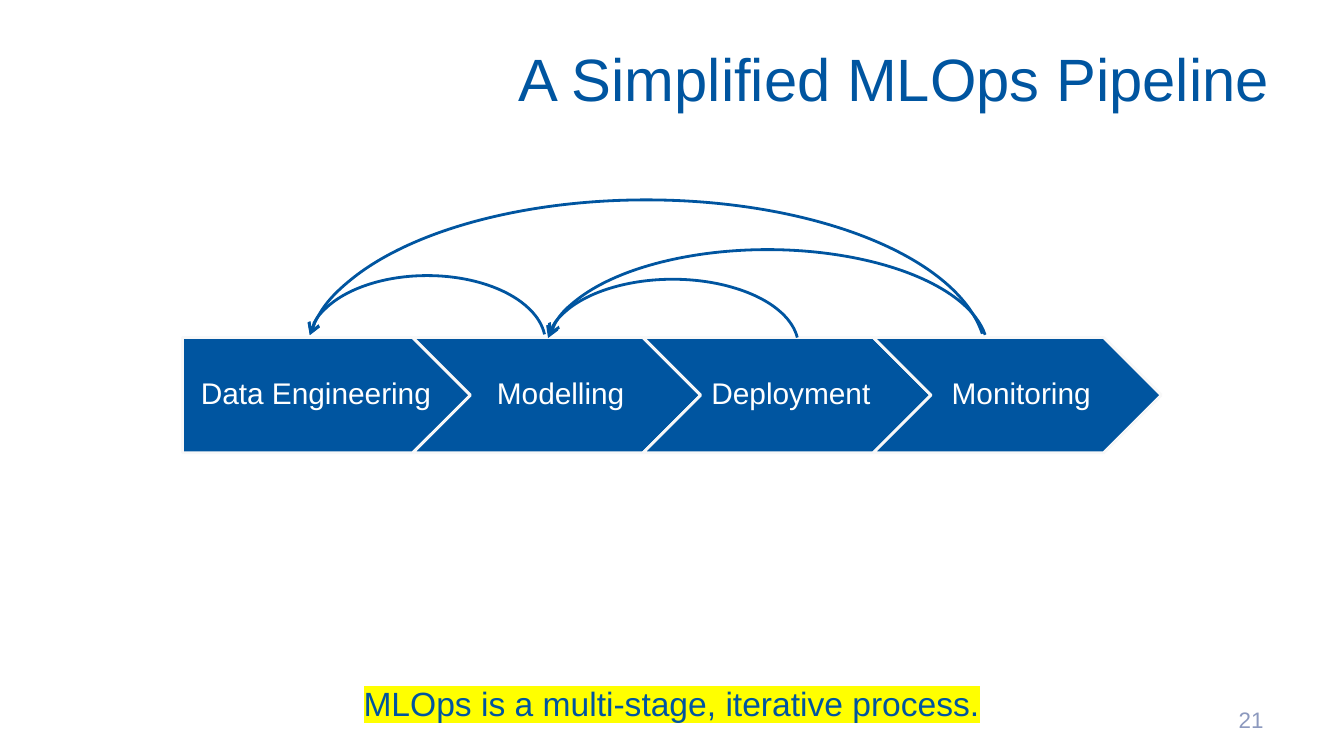
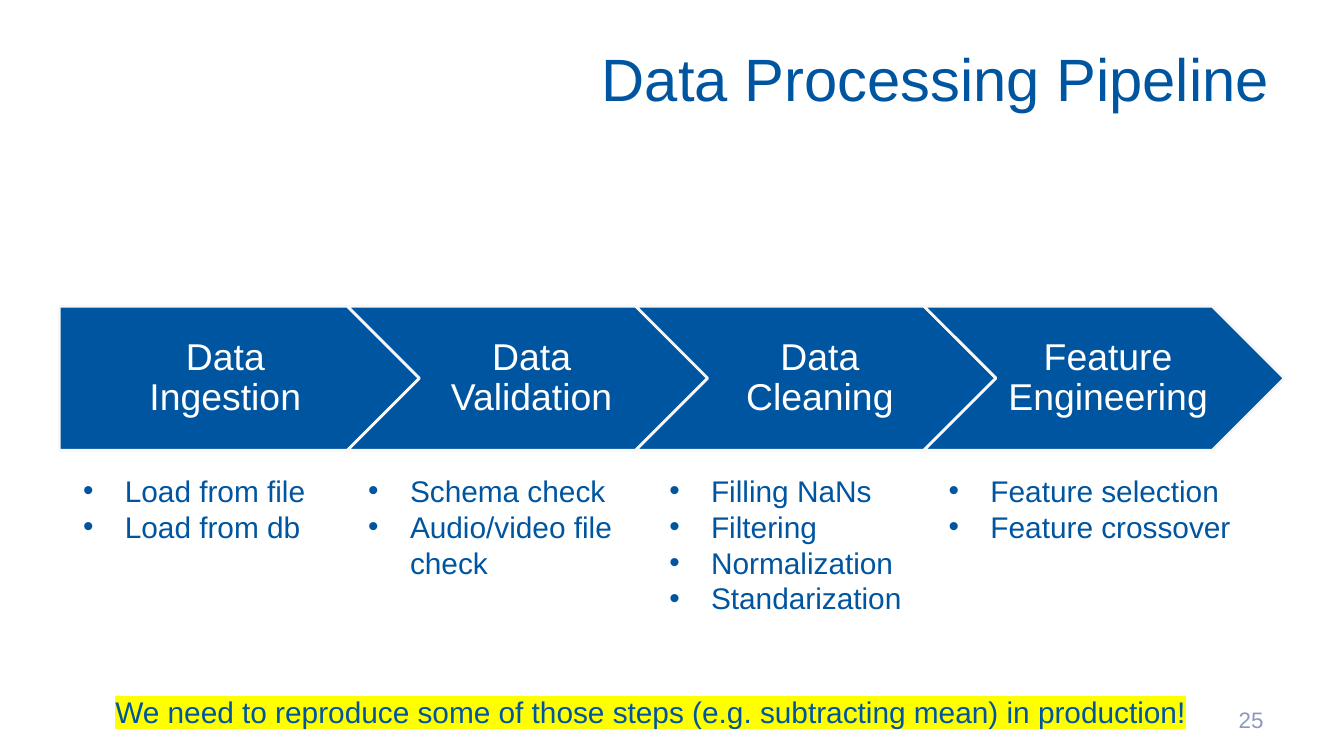
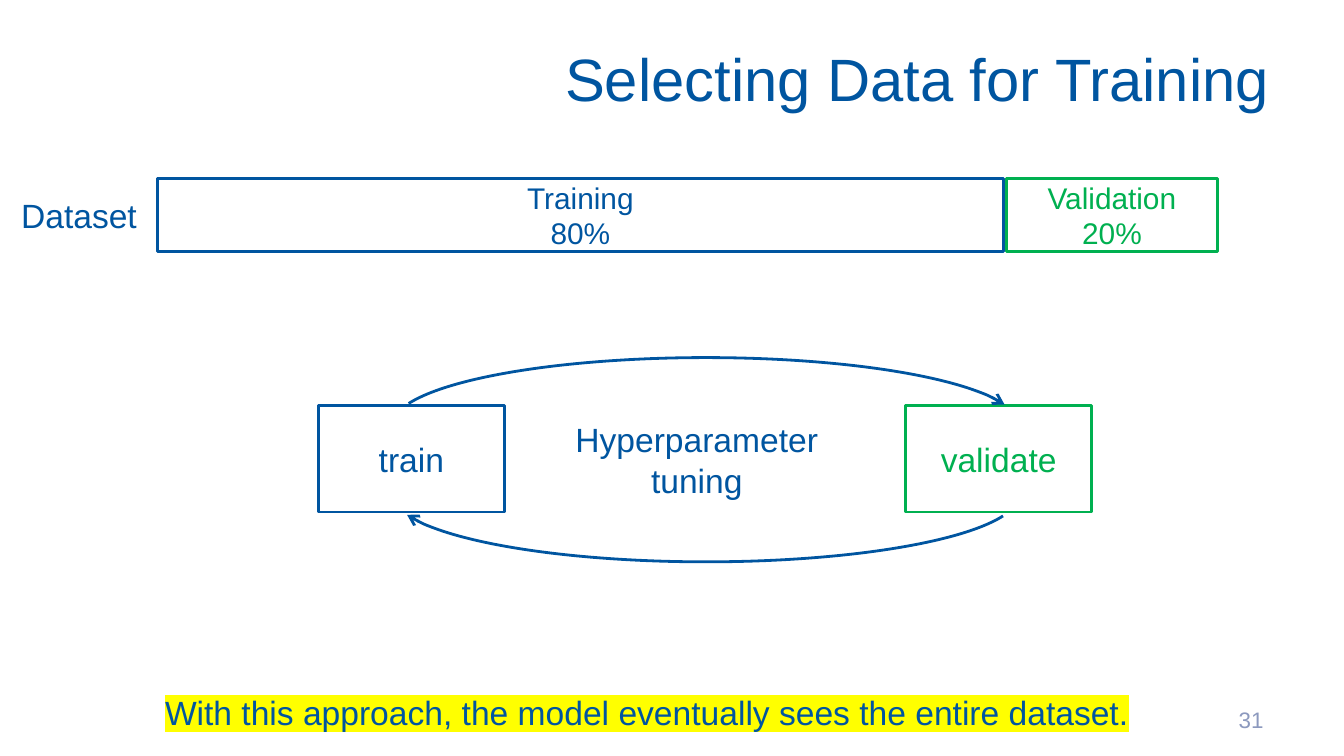
from lxml.etree import SubElement
from pptx import Presentation
from pptx.dml.color import RGBColor
from pptx.enum.shapes import MSO_SHAPE
from pptx.enum.text import MSO_ANCHOR, PP_ALIGN
from pptx.oxml.ns import qn
from pptx.util import Cm, Pt

HUES = {
    "blue": "0055A0",
    "green": "00B050",
    "white": "FFFFFF",
    "edge": "F8F8F8",
    "grey": "8C99BE",
    "mark": "FFFF00",
}
LEFT, MID, RIGHT = PP_ALIGN.LEFT, PP_ALIGN.CENTER, PP_ALIGN.RIGHT


def write(box, text, size, hue="blue", align=LEFT, mark=False):
    frame = box.text_frame
    frame.text = text
    frame.word_wrap = True
    for line in frame.paragraphs:
        line.alignment = align
        for run in line.runs:
            run.font.size = Pt(size)
            run.font.name = "Arial"
            run.font.color.rgb = RGBColor.from_string(HUES[hue])
            if mark:
                props = run.font.fill._xPr
                glow = SubElement(props, qn("a:highlight"))
                SubElement(glow, qn("a:srgbClr"), val=HUES["mark"])
                props.find(qn("a:solidFill")).addnext(glow)


def draw(page, kind, spot, edge, fill=None):
    shape = page.shapes.add_shape(kind, *map(Cm, spot))
    shape.shadow.inherit = False
    shape.line.color.rgb = RGBColor.from_string(HUES[edge])
    shape.line.width = Pt(1.5)
    if fill:
        shape.fill.solid()
        shape.fill.fore_color.rgb = RGBColor.from_string(HUES[fill])
    else:
        shape.fill.background()
    if kind == MSO_SHAPE.ARC:
        shape.adjustments[0] = 110.456
        shape.adjustments[1] = 213.685
        SubElement(shape.element.spPr.find(qn("a:ln")), qn("a:tailEnd"), type="arrow")
    return shape


deck = Presentation()
deck.slide_width, deck.slide_height = Cm(25.4), Cm(14.29)

frames = [
    ("A Simplified MLOps Pipeline", "21", "MLOps is a multi-stage, iterative process.",
     (3.78, 12.78, 17.83, 1.02), 18, MID),
    ("Data Processing Pipeline", "25",
     "We need to reproduce some of those steps (e.g. subtracting mean) in production!",
     (1.93, 12.98, 20.93, 0.94), 16, LEFT),
    ("Selecting Data for Training", "31",
     "With this approach, the model eventually sees the entire dataset.",
     (2.87, 12.95, 18.9, 1.02), 18, LEFT),
]
pages = []
for head, num, note, spot, size, align in frames:
    page = deck.slides.add_slide(deck.slide_layouts[5])
    title = page.shapes.title
    title.left, title.top, title.width, title.height = map(Cm, (1.27, 0.48, 22.86, 1.96))
    write(title, head, 32, align=RIGHT)
    frame = title.text_frame
    frame.vertical_anchor = MSO_ANCHOR.MIDDLE
    frame.margin_left = frame.margin_right = Cm(0.13)
    frame.margin_top = frame.margin_bottom = Cm(0.13)
    box = page.shapes.add_textbox(*map(Cm, (22.73, 13.23, 1.4, 0.76)))
    write(box, num, 12, "grey", RIGHT)
    box.text_frame.vertical_anchor = MSO_ANCHOR.MIDDLE
    box = page.shapes.add_textbox(*map(Cm, spot))
    write(box, note, size, align=align, mark=True)
    pages.append(page)
flow, prep, split = pages

chains = [
    (flow, 3.45, 6.38, 5.44, 2.18, 16,
     ["Data Engineering", "Modelling", "Deployment", "Monitoring"]),
    (prep, 1.12, 5.79, 6.81, 2.72, 20,
     ["Data\vIngestion", "Data Validation", "Data Cleaning", "Feature Engineering"]),
]
for page, left, top, wide, high, size, steps in chains:
    for i, step in enumerate(steps):
        kind = MSO_SHAPE.CHEVRON if i else MSO_SHAPE.PENTAGON
        spot = (left + i * 0.8 * wide, top, wide, high)
        shape = draw(page, kind, spot, "edge", "blue")
        write(shape, step, size, "white", MID)
        shape.text_frame.margin_left = Cm(0.15)
        shape.text_frame.margin_right = 0
        shape.text_frame.paragraphs[0].line_spacing = 0.9

loops = [
    (5.84, 5.21, 4.47, 2.54),
    (10.34, 5.28, 4.75, 2.54),
    (10.34, 4.72, 8.33, 3.81),
    (5.79, 3.78, 12.85, 5.97),
]
for spot in loops:
    arc = draw(flow, MSO_SHAPE.ARC, spot, "blue")
    arc.element.spPr.find(qn("a:xfrm")).set("flipH", "1")

lists = [
    (1.32, 4.78, 1.63, "Load from file\nLoad from db"),
    (6.71, 5.18, 2.31, "Schema check\nAudio/video file\vcheck"),
    (12.4, 4.95, 3, "Filling NaNs\nFiltering\nNormalization\nStandarization"),
    (17.68, 5.92, 1.63, "Feature selection\nFeature crossover"),
]
for left, wide, high, text in lists:
    box = prep.shapes.add_textbox(Cm(left), Cm(8.81), Cm(wide), Cm(high))
    write(box, text, 16)
    for line in box.text_frame.paragraphs:
        props = line._p.get_or_add_pPr()
        props.set("marL", str(Cm(0.79)))
        props.set("indent", str(-Cm(0.79)))
        SubElement(props, qn("a:buFont"), typeface="Arial")
        SubElement(props, qn("a:buChar"), char="•")

parts = [
    ("Validation\n20%", (19.02, 3.38, 3.99, 1.37), 16, "green"),
    ("Training\n80%", (2.97, 3.38, 16, 1.37), 16, "blue"),
    ("train", (6.02, 7.67, 3.51, 2.01), 18, "blue"),
    ("validate", (17.12, 7.67, 3.51, 2.01), 18, "green"),
]
for text, spot, size, hue in parts:
    write(draw(split, MSO_SHAPE.RECTANGLE, spot, hue, "white"), text, size, hue, MID)

for top, turn in [(6.76, 0), (8.08, 180)]:
    draw(split, MSO_SHAPE.ARC, (7.42, top, 11.84, 2.54), "blue").rotation = turn

labels = [
    ("Dataset", (0.15, 3.56, 2.72, 1.02), LEFT),
    ("Hyperparameter\ntuning", (10.59, 7.8, 5.16, 1.8), MID),
]
for text, spot, align in labels:
    write(split.shapes.add_textbox(*map(Cm, spot)), text, 18, align=align)

deck.save("out.pptx")
